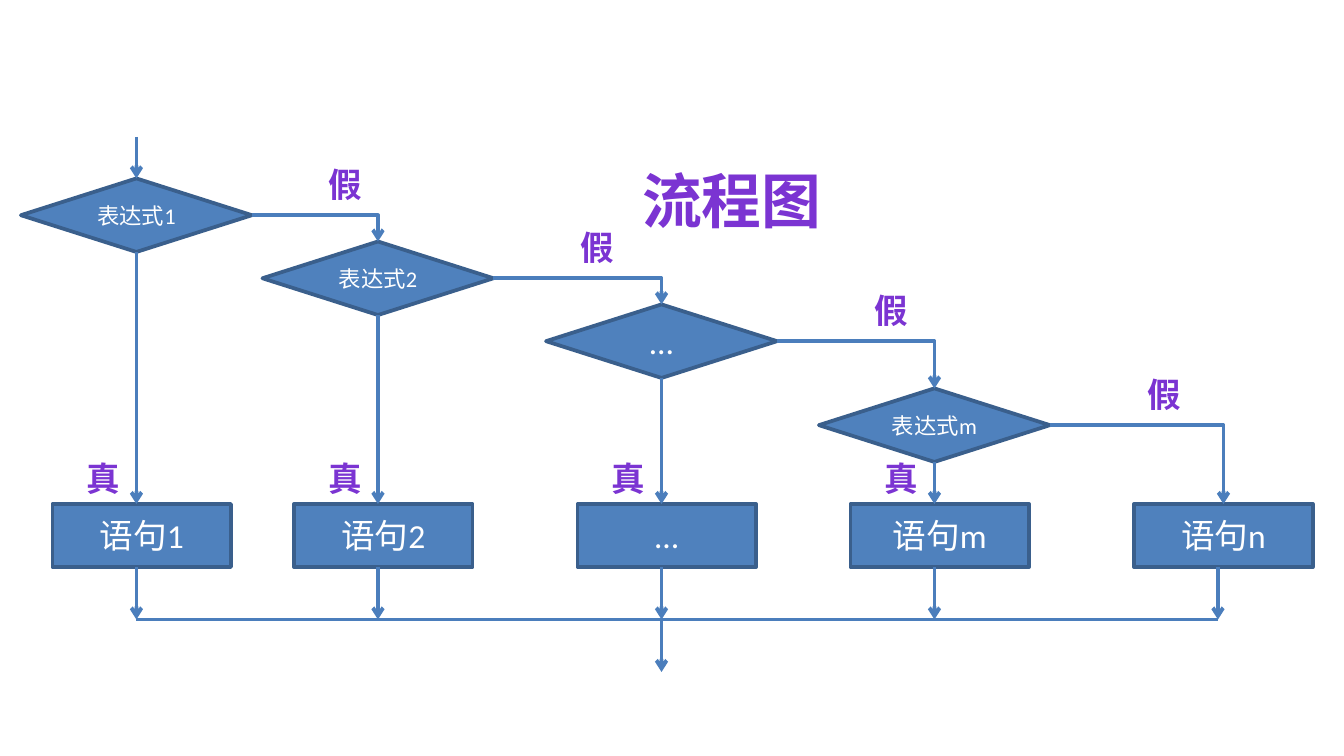
from collections import namedtuple
from dataclasses import dataclass

from lxml import etree
from pptx import Presentation
from pptx.dml.color import RGBColor
from pptx.enum import shapes, text
from pptx.oxml import ns
from pptx.util import Pt

Box = namedtuple("Box", "left top width height")
Branch = namedtuple("Branch", "axis top test size statement")


@dataclass(frozen=True)
class Theme:
    """Colours, fonts and sizes of the flowchart."""
    fill: RGBColor = RGBColor.from_string("4F81BD")
    border: RGBColor = RGBColor.from_string("3A5F8C")
    flow: RGBColor = RGBColor.from_string("4B7EBC")
    accent: RGBColor = RGBColor.from_string("7B34D2")
    light: RGBColor = RGBColor.from_string("FFFFFF")
    node_font: str = "Calibri"
    label_font: str = "Arial"
    title_size: int = 32
    body_size: int = 18
    small_size: int = 12
    stroke: int = 2


THEME = Theme()
BRANCHES = [
    Branch(73.1, 95.6, "表达式1", THEME.small_size, "语句1"),
    Branch(202.5, 129.4, "表达式2", THEME.small_size, "语句2"),
    Branch(354.4, 163.1, "…", THEME.body_size, "…"),
    Branch(500.6, 208.1, "表达式m", THEME.small_size, "语句m"),
]
FALSE_LEFTS = [168.75, 303.8, 461.3, 607.5]
LAST_AXIS = 652.5
TEST_WIDTH, TEST_HEIGHT = 123.75, 39.4
LABEL_WIDTH, LABEL_HEIGHT = 33.75, 28.8
STATEMENTS = Box(28.1, 270, 675.2, 33.75)
MERGE = Box(73.1, 303.75, 579.4, 28.15)


def place(box):
    """Turn a box in points into lengths."""
    return [Pt(value) for value in box]


def add_span(para, words, font, size, color, bold=False):
    """Add one formatted run to a paragraph."""
    span = para.add_run()
    span.text = words
    span.font.name = font
    span.font.size = Pt(size)
    span.font.bold = bold
    span.font.color.rgb = color


def add_node(page, kind, box, words, size):
    """Add a flowchart node with centred text."""
    node = page.shapes.add_shape(kind, *place(box))
    node.shadow.inherit = False
    node.fill.solid()
    node.fill.fore_color.rgb = THEME.fill
    node.line.color.rgb = THEME.border
    node.line.width = Pt(THEME.stroke)
    node.text_frame.word_wrap = True
    node.text_frame.vertical_anchor = text.MSO_ANCHOR.MIDDLE
    para = node.text_frame.paragraphs[0]
    para.alignment = text.PP_ALIGN.CENTER
    add_span(para, words, THEME.node_font, size, THEME.light)
    return node


def add_label(page, box, words):
    """Add a bold branch label."""
    label = page.shapes.add_textbox(*place(box))
    label.text_frame.word_wrap = True
    add_span(label.text_frame.paragraphs[0], words, THEME.label_font,
             THEME.body_size, THEME.accent, True)


def add_flow(page, start, end, arrow=True, kind=shapes.MSO_CONNECTOR.STRAIGHT):
    """Add a flow line between two points."""
    flow = page.shapes.add_connector(kind, *place(start + end))
    flow.line.color.rgb = THEME.flow
    flow.line.width = Pt(THEME.stroke)
    properties = flow._element.spPr
    if arrow:
        outline = properties.find(ns.qn("a:ln"))
        etree.SubElement(outline, ns.qn("a:tailEnd"), type="arrow")
    etree.SubElement(properties, ns.qn("a:effectLst"))
    return flow


def add_elbow(page, source, target):
    """Lead from the right of one node to the top of the next."""
    flow = add_flow(page, (0, 0), (1, 1), kind=shapes.MSO_CONNECTOR.ELBOW)
    flow.begin_connect(source, 3)
    flow.end_connect(target, 0)
    flow._element.spPr.find(ns.qn("a:prstGeom")).set("prst", "bentConnector2")


def add_title(page, box):
    """Fill the title placeholder."""
    title = page.shapes.title
    title.left, title.top, title.width, title.height = place(box)
    frame = title.text_frame
    frame.auto_size = text.MSO_AUTO_SIZE.NONE
    frame.vertical_anchor = text.MSO_ANCHOR.TOP
    frame.margin_left = Pt(12)
    para = frame.paragraphs[0]
    para.alignment = text.PP_ALIGN.LEFT
    add_span(para, "流程图", THEME.label_font, THEME.title_size, THEME.accent, True)


def add_statements(page, box):
    """Add the row of statements and return its nodes."""
    width = 95.7
    lefts = [branch.axis - 45 for branch in BRANCHES] + [box.left + box.width - width]
    names = [branch.statement for branch in BRANCHES] + ["语句n"]
    return [
        add_node(page, shapes.MSO_SHAPE.FLOWCHART_PROCESS,
                 Box(left, box.top, width, box.height), name, THEME.body_size)
        for left, name in zip(lefts, names)
    ]


def add_tests(page, box, last_statement):
    """Add the cascade of tests above the statement row."""
    tests = []
    for branch, false_left in zip(BRANCHES, FALSE_LEFTS):
        test = add_node(
            page, shapes.MSO_SHAPE.FLOWCHART_DECISION,
            Box(branch.axis - TEST_WIDTH / 2, branch.top, TEST_WIDTH, TEST_HEIGHT),
            branch.test, branch.size)
        bottom = branch.top + TEST_HEIGHT
        flow = add_flow(page, (branch.axis, bottom), (branch.axis, box.top))
        flow.begin_connect(test, 2)
        add_label(page, Box(branch.axis - LABEL_WIDTH, box.top - 28.1,
                            LABEL_WIDTH, LABEL_HEIGHT), "真")
        add_label(page, Box(false_left, branch.top - 11.25,
                            LABEL_WIDTH, LABEL_HEIGHT), "假")
        tests.append(test)
    for source, target in zip(tests, tests[1:] + [last_statement]):
        add_elbow(page, source, target)
    first = BRANCHES[0]
    entry = add_flow(page, (first.axis, 73.4), (first.axis, first.top))
    entry.end_connect(tests[0], 0)


def add_merge(page, box):
    """Join all branches and lead to the exit."""
    bottom = box.top + box.height
    for axis in [branch.axis for branch in BRANCHES] + [LAST_AXIS]:
        add_flow(page, (axis, box.top), (axis, bottom))
    add_flow(page, (box.left, bottom), (box.left + box.width, bottom), arrow=False)
    exit_axis = BRANCHES[2].axis
    add_flow(page, (exit_axis, bottom), (exit_axis, 360))


def main():
    """Build and save the deck."""
    deck = Presentation()
    deck.slide_width, deck.slide_height = Pt(720), Pt(405)
    page = deck.slides.add_slide(deck.slide_layouts[5])
    add_title(page, Box(332, 84.4, 135.4, 46))
    statements = add_statements(page, STATEMENTS)
    add_tests(page, STATEMENTS, statements[-1])
    add_merge(page, MERGE)
    deck.save("out.pptx")


if __name__ == "__main__":
    main()
